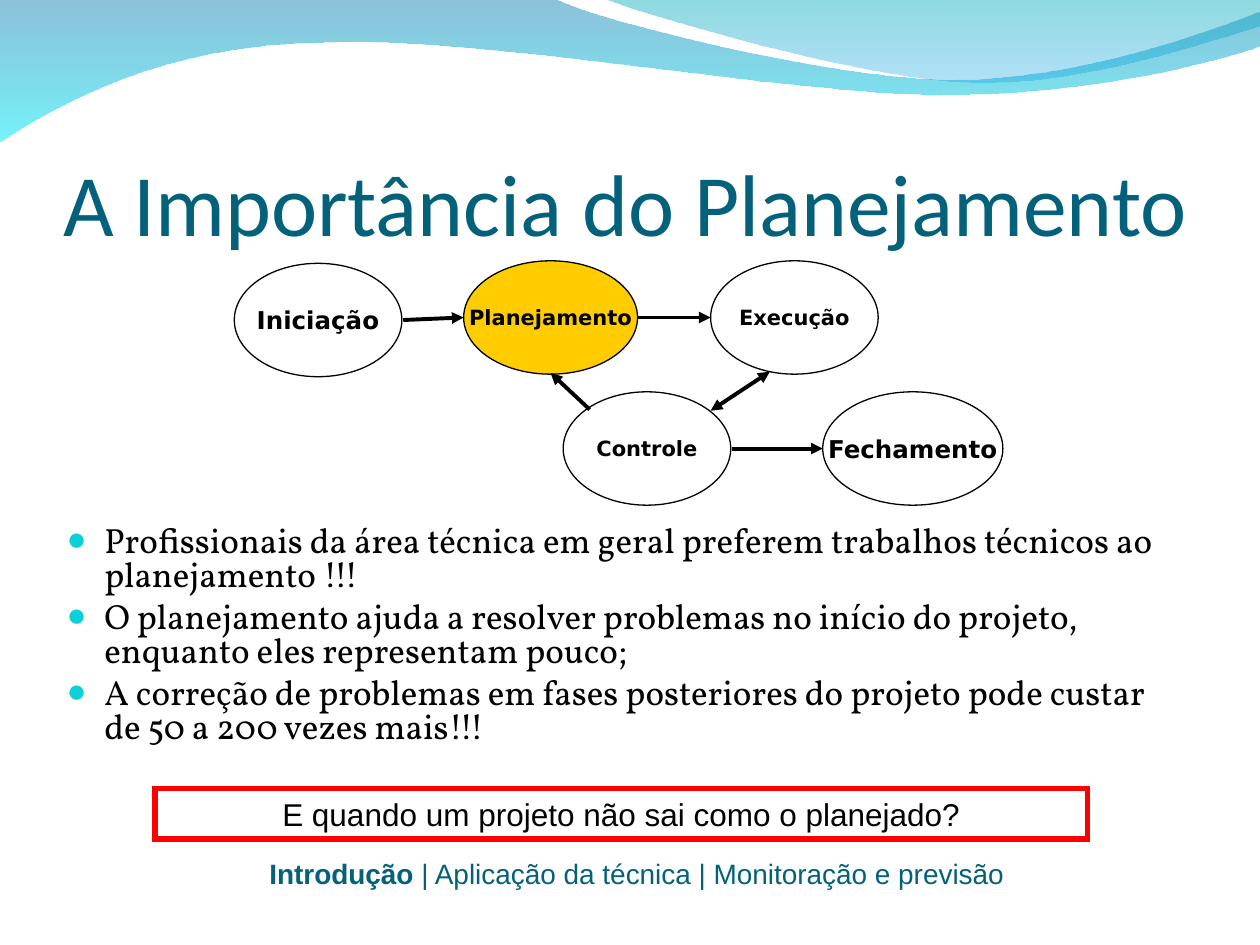
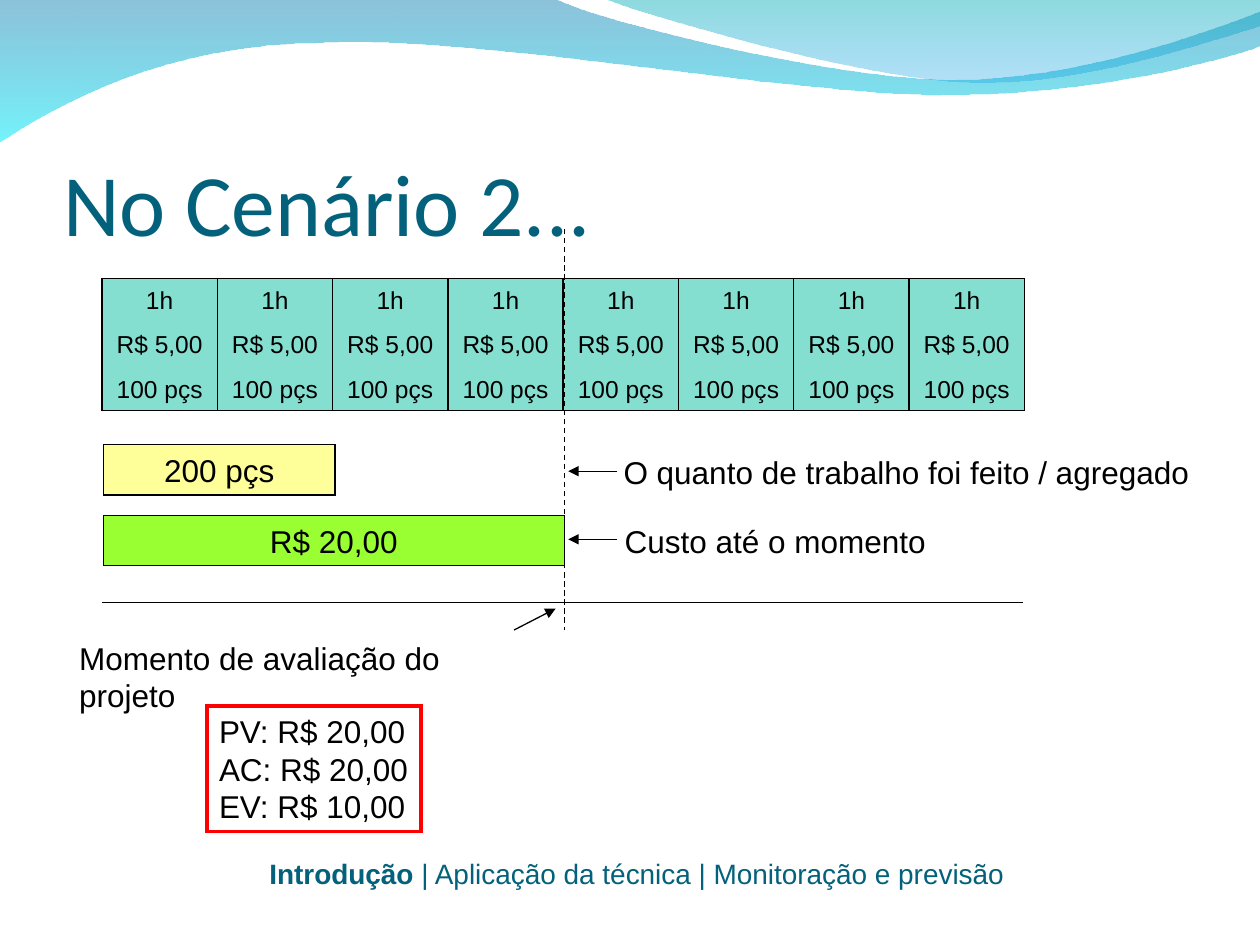
"""Build two slides on project planning and earned value."""
from lxml.etree import SubElement
from pptx import Presentation
from pptx.dml.color import RGBColor
from pptx.enum.dml import MSO_LINE
from pptx.enum.shapes import MSO_CONNECTOR, MSO_SHAPE
from pptx.enum.text import MSO_ANCHOR, MSO_AUTO_SIZE, PP_ALIGN
from pptx.oxml.ns import qn
from pptx.util import Inches, Pt

BLACK = RGBColor(0x00, 0x00, 0x00)
TEAL = RGBColor(0x04, 0x61, 0x7B)
RED = RGBColor(0xFF, 0x00, 0x00)
GOLD = RGBColor(0xFF, 0xCC, 0x00)
MINT = RGBColor(0x85, 0xDF, 0xD0)
CREAM = RGBColor(0xFF, 0xFF, 0x99)
LIME = RGBColor(0x99, 0xFF, 0x33)
DOT = "0BD0D9"

WAVES = [
    ([[(0, -0.01)], [(4.4, -0.01)],
      [(4.76, 0.17), (6.64, 0.63), (7.58, 0.63)],
      [(8.53, 0.63), (9.58, 0.26), (10, 0.09)],
      [(10.01, 0.36)],
      [(9.83, 0.44), (8.7, 0.76), (7.46, 0.75)],
      [(6.22, 0.75), (3.82, 0.28), (2.57, 0.34)],
      [(1.29, 0.35), (0.46, 0.83), (-0.01, 1.13)]],
     [(RGBColor(0x00, 0x79, 0xAF), 45), (RGBColor(0x00, 0xEB, 0xF8), 55)]),
    ([[(4.79, -0.01)],
      [(5.09, 0.11), (6.82, 0.62), (7.69, 0.65)],
      [(8.56, 0.69), (9.61, 0.32), (10, 0.21)],
      [(10, 0)]],
     [(RGBColor(0x00, 0xAD, 0xB6), 45), (RGBColor(0x00, 0x9B, 0xE5), 30)]),
]
TITLES = ["A Importância do Planejamento", "No Cenário 2..."]
FOOTER = [("Introdução", True),
          (" | Aplicação da técnica | Monitoração e previsão ", False)]

POINTS = [
    "Profissionais da área técnica em geral preferem trabalhos técnicos ao planejamento !!!",
    "O planejamento ajuda a resolver problemas no início do projeto, enquanto eles representam pouco;",
    "A correção de problemas em fases posteriores do projeto pode custar de 50 a 200 vezes mais!!!",
]
PHASES = [
    ("Fechamento", 6.53, 3.11, 1.43, 14, None),
    ("Controle", 4.47, 3.11, 1.33, 12, None),
    ("Execução", 5.64, 2.07, 1.33, 12, None),
    ("Planejamento", 3.68, 2.07, 1.38, 12, GOLD),
    ("Iniciação", 1.86, 2.09, 1.33, 14, None),
]
FLOWS = [
    ((3.2, 2.54, 3.68, 2.52), ["tailEnd"]),
    ((5.06, 2.52, 5.64, 2.52), ["tailEnd"]),
    ((6.11, 2.95, 5.64, 3.26), ["headEnd", "tailEnd"]),
    ((5.81, 3.56, 6.53, 3.56), ["tailEnd"]),
    ((4.68, 3.25, 4.37, 2.96), ["tailEnd"]),
]
ASK = "E quando um projeto não sai como o planejado?"

HOUR = ["1h", "R$ 5,00", "100 pçs"]
HOURS = 8
BARS = [("200 pçs", 3.53, 1.84, CREAM), ("R$ 20,00", 4.09, 3.66, LIME)]
NOTES = [
    ("Momento de avaliação do projeto", (0.53, 5.02, 3.89, 0.4)),
    ("Custo até o momento", (4.86, 4.09, 2.59, 0.4)),
    ("O quanto de trabalho foi feito / agregado", (4.85, 3.55, 4.69, 0.4)),
]
HINTS = [(4.08, 5, 4.41, 4.83), (4.9, 4.28, 4.51, 4.28), (4.9, 3.74, 4.51, 3.74)]
SUMS = ["PV: R$ 20,00", "AC: R$ 20,00", "EV: R$ 10,00"]

ARIAL = {"name": "Arial", "size": Pt(18), "bold": False}
HEAD = {"name": "Calibri", "size": Pt(50), "bold": False}
BODY = {"name": "Vollkorn", "size": Pt(20), "bold": False}
PHASE = {"name": "DejaVu Sans", "bold": True}
LEFT = {"alignment": PP_ALIGN.LEFT}
MID = {"alignment": PP_ALIGN.CENTER}
FRAME = {"auto_size": MSO_AUTO_SIZE.SHAPE_TO_FIT_TEXT, "word_wrap": True,
         "vertical_anchor": MSO_ANCHOR.TOP,
         "margin_left": Inches(0.1), "margin_right": Inches(0.1),
         "margin_top": Inches(0.05), "margin_bottom": Inches(0.05)}
LOOSE = {"word_wrap": False}
FIXED = {"auto_size": MSO_AUTO_SIZE.NONE}


def apply(item, values):
    for key, value in values.items():
        setattr(item, key, value)


def inch(nums):
    return [Inches(n) for n in nums]


def add_dot(para):
    props = para._p.get_or_add_pPr()
    for key, value in {"marL": 0.3, "indent": -0.3}.items():
        props.set(key, str(Inches(value)))
    SubElement(SubElement(props, qn("a:buClr")), qn("a:srgbClr"), val=DOT)
    SubElement(props, qn("a:buSzPct"), val="95000")
    SubElement(props, qn("a:buFont"), typeface="Arial")
    SubElement(props, qn("a:buChar"), char="●")


def write(shape, lines, font, para=LEFT, frame={}, color=BLACK, gap=0, dots=False):
    body = shape.text_frame
    apply(body, FRAME | frame)
    for i, line in enumerate(lines):
        part = body.paragraphs[0] if i == 0 else body.add_paragraph()
        if dots:
            add_dot(part)
        apply(part, para | {"space_before": Pt(gap if i else 0)})
        runs = [(line, font["bold"])] if isinstance(line, str) else line
        for text, bold in runs:
            run = part.add_run()
            run.text = text
            apply(run.font, font | {"bold": bold})
            run.font.color.rgb = color


def add_box(shapes, kind, spot, fill=None, edge=BLACK, width=0.75):
    box = shapes.add_shape(kind, *inch(spot))
    box.shadow.inherit = False
    if fill is None:
        box.fill.background()
    else:
        box.fill.solid()
        box.fill.fore_color.rgb = fill
    box.line.color.rgb = edge
    box.line.width = Pt(width)
    SubElement(box.line._get_or_add_ln(), qn("a:miter"), lim="800000")
    return box


def add_text(slide, spot, lines, font, **more):
    write(slide.shapes.add_textbox(*inch(spot)), lines, font, **more)


def add_line(slide, ends, tips=(), width=0.75, dash=None):
    line = slide.shapes.add_connector(MSO_CONNECTOR.STRAIGHT, *inch(ends))
    line.line.color.rgb = BLACK
    line.line.width = Pt(width)
    if dash:
        line.line.dash_style = dash
    for tip in tips:
        SubElement(line.line._get_or_add_ln(), qn("a:" + tip), type="triangle")
    SubElement(line._element.spPr, qn("a:effectLst"))


def bend(wave, steps):
    """Make each step of three points a cubic curve."""
    legs = list(wave._element.iter(qn("a:lnTo")))
    for leg, step in zip(legs, steps):
        if len(step) == 3:
            leg.tag = qn("a:cubicBezTo")
            leg.remove(leg[0])
            for x, y in step:
                SubElement(leg, qn("a:pt"), x=str(Inches(x) - wave.left),
                           y=str(Inches(y) - wave.top))


def add_wave(slide, steps, stops):
    first, *rest = [inch(step[-1]) for step in steps]
    pen = slide.shapes.build_freeform(*first)
    pen.add_line_segments(rest, close=True)
    wave = pen.convert_to_shape()
    bend(wave, steps[1:])
    wave.shadow.inherit = False
    wave.line.fill.background()
    wave.fill.gradient()
    wave.fill.gradient_angle = 270
    for stop, (color, alpha) in zip(wave.fill.gradient_stops, stops):
        stop.color.rgb = color
        tint = stop._gs.find(qn("a:srgbClr"))
        SubElement(tint, qn("a:alpha"), val=str(alpha * 1000))
    return wave._element


def add_slide(deck, title):
    slide = deck.slides.add_slide(deck.slide_layouts[5])
    head = slide.shapes.title
    apply(head, dict(zip(("left", "top", "width", "height"), inch((0.5, 0.77, 9, 1.25)))))
    write(head, [title], HEAD, color=TEAL,
          frame=FIXED | {"vertical_anchor": MSO_ANCHOR.BOTTOM, "margin_left": 0,
                         "margin_right": 0, "margin_bottom": 0})
    add_text(slide, (1.92, 6.75, 6.33, 0.37), [FOOTER], ARIAL | {"size": Pt(16)},
             para=MID, color=TEAL)
    return slide


def fill_plan(slide):
    add_text(slide, (0.43, 4.13, 9, 2.04), POINTS, BODY,
             para=LEFT | {"line_spacing": 0.8}, frame=FIXED, gap=5, dots=True)
    for name, left, top, width, size, fill in PHASES:
        oval = add_box(slide.shapes, MSO_SHAPE.OVAL, (left, top, width, 0.9), fill)
        write(oval, [name], PHASE | {"size": Pt(size)}, MID,
              LOOSE | FIXED | {"vertical_anchor": MSO_ANCHOR.MIDDLE})
    for ends, tips in FLOWS:
        add_line(slide, ends, tips, 2.25)
    box = add_box(slide.shapes, MSO_SHAPE.RECTANGLE, (1.23, 6.26, 7.4, 0.4), edge=RED, width=3)
    write(box, [ASK], ARIAL, MID)


def fill_case(slide):
    add_line(slide, (0.81, 4.78, 8.12, 4.78))
    group = slide.shapes.add_group_shape()
    step = 7.32 / HOURS
    for i in range(HOURS):
        cell = add_box(group.shapes, MSO_SHAPE.RECTANGLE, (0.81 + i * step, 2.21, step, 1.05), MINT)
        write(cell, HOUR, ARIAL | {"size": Pt(14)}, MID, gap=8.8)
    for text, top, width, fill in BARS:
        bar = add_box(slide.shapes, MSO_SHAPE.RECTANGLE, (0.82, top, width, 0.4), fill)
        write(bar, [text], ARIAL, MID)
    add_line(slide, (4.48, 1.82, 4.48, 5), dash=MSO_LINE.DASH)
    for (text, spot), ends in zip(NOTES, HINTS):
        add_text(slide, spot, [text], ARIAL, frame=LOOSE)
        add_line(slide, ends, ["tailEnd"])
    box = add_box(slide.shapes, MSO_SHAPE.RECTANGLE, (1.64, 5.6, 1.7, 1), edge=RED, width=2.25)
    write(box, SUMS, ARIAL, frame=LOOSE)


def main():
    deck = Presentation()
    deck.slide_width, deck.slide_height = inch((10, 7.5))
    slides = [add_slide(deck, title) for title in TITLES]
    for spot, (steps, stops) in enumerate(WAVES, 2):
        wave = add_wave(slides[0], steps, stops)
        deck.slide_master.shapes._spTree.insert(spot, wave)
    for slide, fill in zip(slides, (fill_plan, fill_case)):
        fill(slide)
    deck.save("out.pptx")


if __name__ == "__main__":
    main()
